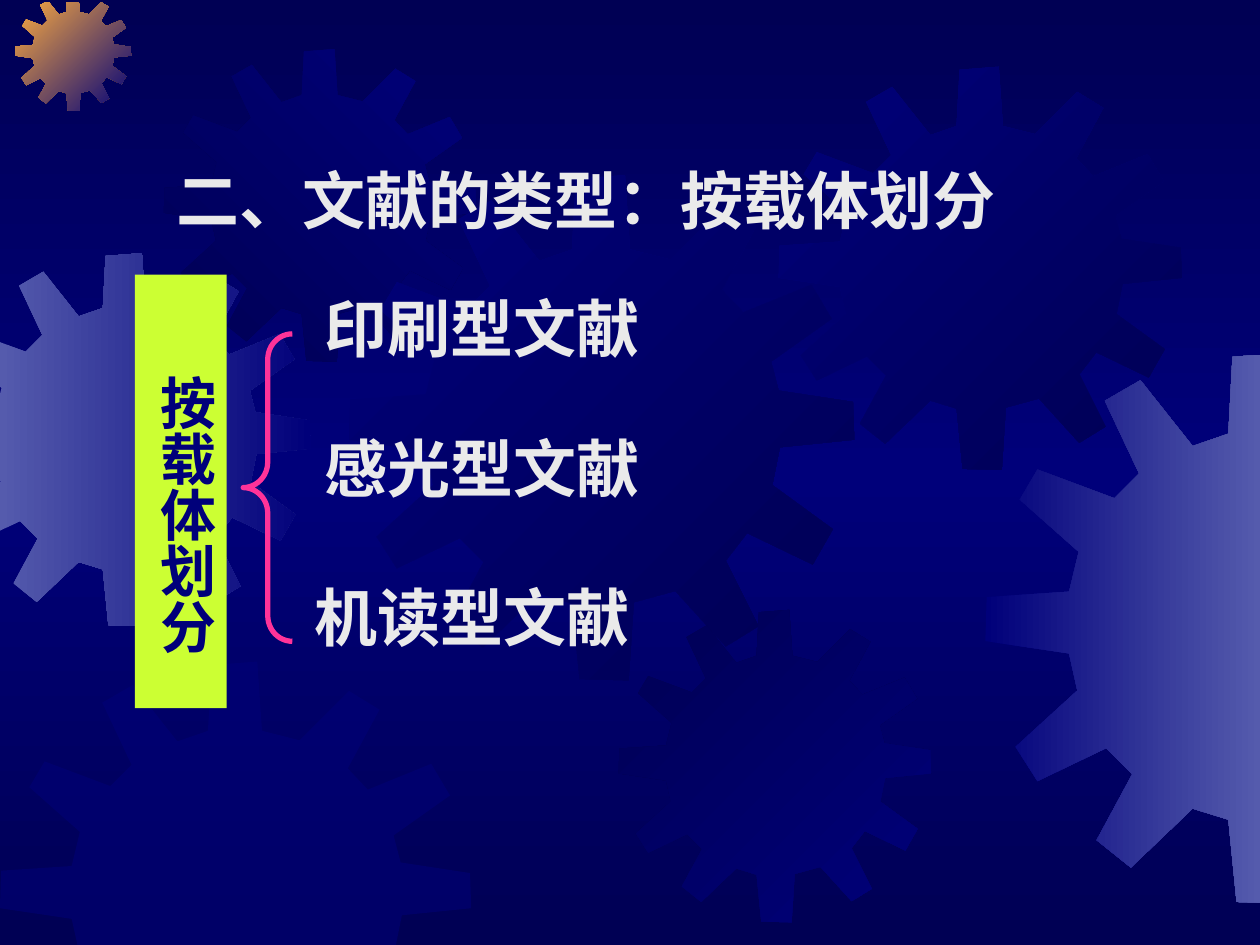
from copy import deepcopy
from dataclasses import dataclass

from lxml import etree
from pptx import Presentation
from pptx.dml.color import RGBColor
from pptx.enum.shapes import MSO_SHAPE
from pptx.enum.text import MSO_ANCHOR, MSO_AUTO_SIZE, PP_ALIGN
from pptx.oxml.ns import qn
from pptx.util import Pt

PX = 9144  # EMU in one px, 100 px to the inch
WIDE, HIGH = 1000, 750
EDGE = 2  # gears stop this far below the slide top

RECT, BRACE = MSO_SHAPE.RECTANGLE, MSO_SHAPE.LEFT_BRACE
TOP, LEFT, FIXED = MSO_ANCHOR.TOP, PP_ALIGN.LEFT, MSO_AUTO_SIZE.NONE

DARK = RGBColor(0x00, 0x00, 0x54)
NAVY = RGBColor(0x00, 0x00, 0x7A)
MIST = RGBColor(0x55, 0x5B, 0xAD)
GOLD = RGBColor(0xFC, 0xAB, 0x40)
LIME = RGBColor(0xCC, 0xFF, 0x33)
PINK = RGBColor(0xFF, 0x33, 0x99)
PALE = RGBColor(0xEA, 0xEA, 0xEA)

SPAN = 401  # width and height of the gear outline below
TEETH = [
    (255, 67), (223, 59), (219, 0), (180, 3), (177, 59), (151, 68),
    (113, 20), (87, 35), (112, 88), (94, 106), (38, 85), (25, 107),
    (68, 145), (61, 174), (1, 178), (0, 210), (61, 219), (67, 246),
    (22, 287), (38, 312), (88, 288), (107, 307), (81, 355), (106, 375),
    (151, 332), (177, 340), (183, 400), (222, 401), (226, 339), (259, 330),
    (299, 374), (325, 358), (299, 306), (316, 284), (368, 309), (384, 281),
    (336, 246), (342, 216), (401, 210), (400, 180), (341, 171), (335, 148),
    (383, 114), (367, 87), (313, 109), (296, 91), (323, 41), (297, 25),
]

Points = list[tuple[float, float]]


@dataclass
class Gear:
    x: int
    y: int
    size: int
    tints: tuple[RGBColor, ...]
    angle: int = 0  # clockwise
    alpha: int = 100


@dataclass
class Label:
    text: str
    x: int
    y: int
    w: int
    h: int = 70


GEARS = [
    Gear(-49, 201, 296, (MIST, NAVY)),
    Gear(12, -4, 92, (GOLD, NAVY), 45),
    Gear(130, 39, 248, (DARK, NAVY), 315),
    Gear(277, 139, 401, (NAVY, DARK), 45),
    Gear(0, 525, 374, (NAVY,), alpha=50),
    Gear(491, 484, 248, (DARK, NAVY), 45),
    Gear(618, 53, 320, (NAVY, DARK), 45),
    Gear(782, 280, 437, (NAVY, MIST)),
]
HEAD = Label("二、文献的类型：按载体划分", 130, 123, 685)
KINDS = [
    Label("印刷型文献", 248, 225, 283),
    Label("感光型文献", 248, 336, 275),
    Label("机读型文献", 240, 454, 276),
]
SIDE = Label("按载体划分", 107, 218, 73, 344)


def cut(points: Points, axis: int, limit: int, sign: int) -> Points:
    """Keep the part of an outline where sign * (coordinate - limit) >= 0."""
    kept = []
    for a, b in zip(points[-1:] + points[:-1], points):
        da, db = (sign * (p[axis] - limit) for p in (a, b))
        if (da >= 0) != (db >= 0):
            t = da / (da - db)
            kept.append((a[0] + t * (b[0] - a[0]), a[1] + t * (b[1] - a[1])))
        if db >= 0:
            kept.append(b)
    return kept


def blend(fill, tints: tuple[RGBColor, ...], angle: int) -> None:
    """Spread the tints evenly along a linear gradient."""
    fill.gradient()
    fill.gradient_angle = (360 - angle) % 360
    last = len(tints) - 1
    for i, (stop, tint) in enumerate(zip(fill.gradient_stops, tints)):
        stop.color.rgb = tint
        stop.position = i / last


def add_gear(shapes, gear: Gear) -> None:
    k = gear.size / SPAN
    points = [(gear.x + x * k, gear.y + y * k) for x, y in TEETH]
    for axis, limit, sign in ((0, 0, 1), (0, WIDE, -1), (1, EDGE, 1), (1, HIGH, -1)):
        points = cut(points, axis, limit, sign)
    spots = [(round(x * PX), round(y * PX)) for x, y in points]
    pen = shapes.build_freeform(*spots[0])
    pen.add_line_segments(spots[1:], close=True)
    shape = pen.convert_to_shape()
    shape.shadow.inherit = False
    shape.line.fill.background()
    if len(gear.tints) > 1:
        blend(shape.fill, gear.tints, gear.angle)
        return
    shape.fill.solid()
    shape.fill.fore_color.rgb = gear.tints[0]
    tint = shape.element.spPr.find(f"{qn('a:solidFill')}/{qn('a:srgbClr')}")
    etree.SubElement(tint, qn("a:alpha")).set("val", str(gear.alpha * 1000))


def box(label: Label) -> list[int]:
    return [n * PX for n in (label.x, label.y, label.w, label.h)]


def write(shape, text: str, size: int, face: str, tint: RGBColor) -> None:
    frame = shape.text_frame
    frame.text = text
    frame.word_wrap = True
    frame.auto_size = FIXED
    frame.vertical_anchor = TOP
    line = frame.paragraphs[0]
    line.alignment = LEFT
    font = line.runs[0].font
    font.size, font.name, font.bold = Pt(size), face, True
    font.color.rgb = tint


def add_side(shapes, label: Label) -> None:
    shape = shapes.add_shape(RECT, *box(label))
    shape.shadow.inherit = False
    shape.fill.solid()
    shape.fill.fore_color.rgb = LIME
    shape.line.fill.background()
    write(shape, label.text, 32, "Times New Roman", NAVY)
    frame = shape.text_frame
    frame.margin_left = frame.margin_right = 5 * PX
    frame.margin_top, frame.margin_bottom = 80 * PX, 10 * PX
    shape.element.txBody.bodyPr.set("vert", "eaVert")


def add_brace(shapes) -> None:
    brace = shapes.add_shape(BRACE, 193 * PX, 265 * PX, 39 * PX, 244 * PX)
    brace.adjustments[0] = 0.52
    brace.shadow.inherit = False
    brace.fill.background()
    brace.line.color.rgb = PINK
    brace.line.width = Pt(3)


def main() -> None:
    deck = Presentation()
    deck.slide_width, deck.slide_height = WIDE * PX, HIGH * PX
    slide = deck.slides.add_slide(deck.slide_layouts[5])
    shapes = slide.shapes

    back = slide.background.fill
    back.gradient()
    stops = slide.element.find(f".//{qn('a:gsLst')}")
    stops.append(deepcopy(stops[-1]))
    blend(back, (DARK, NAVY, DARK), 90)

    for gear in GEARS:
        add_gear(shapes, gear)

    title = shapes.title
    shapes.element.append(title.element)  # in front of the gears
    title.left, title.top, title.width, title.height = box(HEAD)
    write(title, HEAD.text, 36, "Karla", PALE)

    add_side(shapes, SIDE)
    add_brace(shapes)
    for kind in KINDS:
        write(shapes.add_textbox(*box(kind)), kind.text, 36, "Karla", PALE)

    deck.save("out.pptx")


if __name__ == "__main__":
    main()
